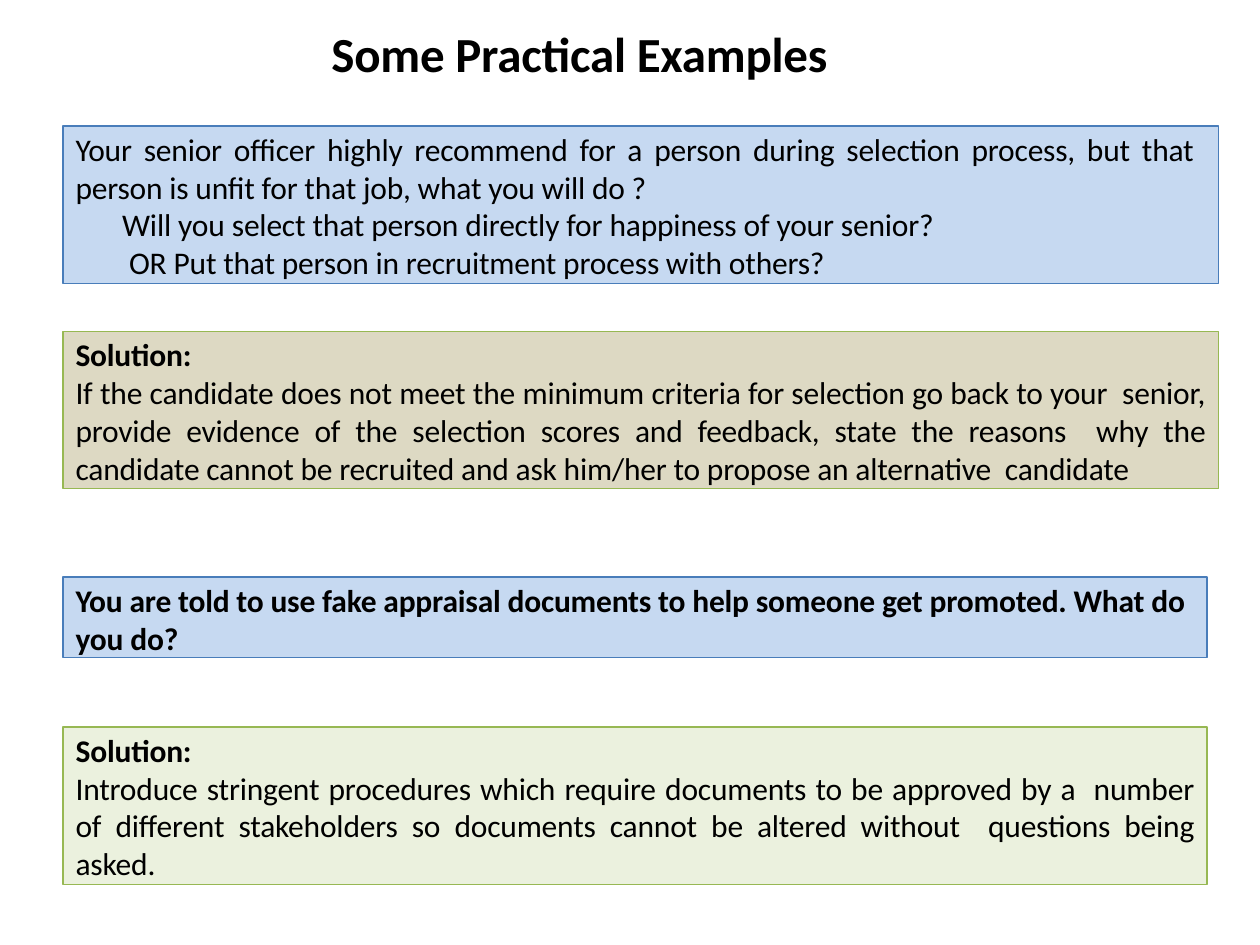
from dataclasses import dataclass

import pptx
import pptx.dml.color
import pptx.enum.shapes
import pptx.enum.text
import pptx.util

Inches = pptx.util.Inches
Pt = pptx.util.Pt
Align = pptx.enum.text.PP_ALIGN

WIDTH, HEIGHT = 10, 7.5
LEFT = 0.05 * WIDTH
WIDE, NARROW = 0.917 * WIDTH, 0.908 * WIDTH
TALL, SHORT = 1.25, 0.64
INDENT = 0.1
QUESTION_EDGE, SOLUTION_EDGE = "497DBA", "97B853"


@dataclass
class Passage:
    """One paragraph: wording, weight, margins in inches, space before in points."""
    wording: str
    bold: bool = False
    justified: bool = True
    left: float = INDENT
    right: float = INDENT
    before: float = 0
    size: float = 18


@dataclass
class Panel:
    """A filled box holding a question or its solution."""
    top: float
    width: float
    height: float
    fill: str
    edge: str
    passages: list[Passage]


def colour(code: str) -> pptx.dml.color.RGBColor:
    """Turn a hex string into a colour."""
    return pptx.dml.color.RGBColor.from_string(code)


def write(frame, passages: list[Passage], inset: float) -> None:
    """Fill a text frame with passages."""
    frame_format = {
        "word_wrap": True,
        "auto_size": pptx.enum.text.MSO_AUTO_SIZE.SHAPE_TO_FIT_TEXT,
        "vertical_anchor": pptx.enum.text.MSO_ANCHOR.TOP,
        "margin_left": 0, "margin_right": 0, "margin_bottom": 0,
        "margin_top": Inches(inset),
    }
    for key, value in frame_format.items():
        setattr(frame, key, value)
    for index, passage in enumerate(passages):
        paragraph = frame.add_paragraph() if index else frame.paragraphs[0]
        paragraph.alignment = Align.JUSTIFY if passage.justified else Align.LEFT
        paragraph.space_before = Pt(passage.before)
        margins = paragraph._p.get_or_add_pPr()
        for key, value in {"marL": passage.left, "marR": passage.right}.items():
            margins.set(key, str(Inches(value)))
        run = paragraph.add_run()
        run.text = passage.wording
        font_format = {"name": "Calibri", "size": Pt(passage.size), "bold": passage.bold}
        for key, value in font_format.items():
            setattr(run.font, key, value)
        run.font.color.rgb = colour("000000")
        run._r.get_or_add_rPr().set("spc", "-10")


def draw_panel(slide, panel: Panel) -> None:
    """Draw one bordered panel with its text."""
    box = slide.shapes.add_shape(
        pptx.enum.shapes.MSO_SHAPE.RECTANGLE, Inches(LEFT), Inches(panel.top),
        Inches(panel.width), Inches(panel.height))
    box.shadow.inherit = False
    box.fill.solid()
    box.fill.fore_color.rgb = colour(panel.fill)
    box.line.color.rgb = colour(panel.edge)
    box.line.width = Pt(0.72)
    write(box.text_frame, panel.passages, 0.03)


def solution(wording: str) -> list[Passage]:
    """Give the heading and body of a solution."""
    return [Passage("Solution:", bold=True, justified=False, before=2.5), Passage(wording)]


PANELS = [
    Panel(1, WIDE, TALL, "C6D9F1", QUESTION_EDGE, [
        Passage("Your senior officer highly recommend for a person during selection "
                "process, but that  person is unfit for that job, what you will do ?",
                before=2.4),
        Passage("Will you select that person directly for happiness of your senior?  "
                "OR Put that person in recruitment process with others?",
                left=0.47, right=2.26),
    ]),
    Panel(2.63, WIDE, TALL, "DDD9C3", SOLUTION_EDGE, solution(
        "If the candidate does not meet the minimum criteria for selection go back to "
        "your  senior, provide evidence of the selection scores and feedback, state the "
        "reasons  why the candidate cannot be recruited and ask him/her to propose an "
        "alternative  candidate")),
    Panel(4.58, NARROW, SHORT, "C6D9F1", QUESTION_EDGE, [
        Passage("You are told to use fake appraisal documents to help someone get "
                "promoted. What do  you do?", bold=True, justified=False, before=2.5),
    ]),
    Panel(5.77, NARROW, TALL, "EBF1DE", SOLUTION_EDGE, solution(
        "Introduce stringent procedures which require documents to be approved by a  "
        "number of different stakeholders so documents cannot be altered without  "
        "questions being asked.")),
]

deck = pptx.Presentation()
deck.slide_width, deck.slide_height = Inches(WIDTH), Inches(HEIGHT)
slide = deck.slides.add_slide(deck.slide_layouts[6])
for panel in PANELS:
    draw_panel(slide, panel)
heading = slide.shapes.add_textbox(Inches(2.62), Inches(0.18), Inches(4.01), Inches(0.49))
write(heading.text_frame, [Passage("Some Practical Examples", bold=True, justified=False,
                                   left=0.01, right=0, before=0.9, size=28)], 0.01)
deck.save("out.pptx")
